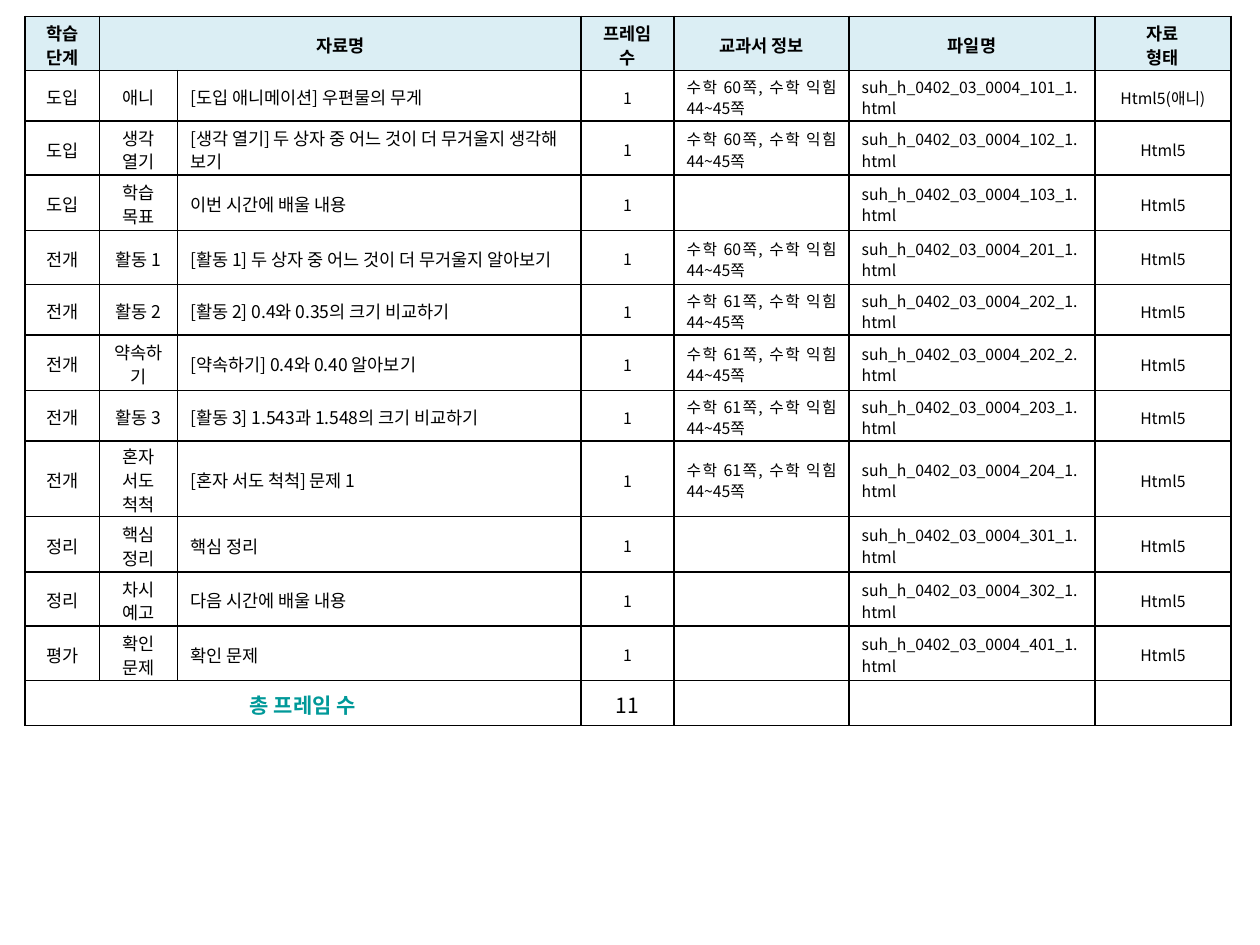
from lxml import etree
from pptx import Presentation
from pptx.dml.color import RGBColor
from pptx.enum import text
from pptx.oxml.ns import qn
from pptx.util import Inches, Pt

# Content
HEADERS = ["학습 단계", "자료명", "", "프레임 수", "교과서 정보", "파일명", "자료\n형태"]
PAGES_60 = "수학 60쪽, 수학 익힘 44~45쪽"
PAGES_61 = "수학 61쪽, 수학 익힘 44~45쪽"
# stage, label, material, textbook pages, file number
LESSONS = [
    ("도입", "애니", "[도입 애니메이션] 우편물의 무게", PAGES_60, "101_1"),
    ("도입", "생각 열기", "[생각 열기] 두 상자 중 어느 것이 더 무거울지 생각해 보기", PAGES_60, "102_1"),
    ("도입", "학습 목표", "이번 시간에 배울 내용", "", "103_1"),
    ("전개", "활동 1", "[활동 1] 두 상자 중 어느 것이 더 무거울지 알아보기", PAGES_60, "201_1"),
    ("전개", "활동 2", "[활동 2] 0.4와 0.35의 크기 비교하기", PAGES_61, "202_1"),
    ("전개", "약속하기", "[약속하기] 0.4와 0.40 알아보기", PAGES_61, "202_2"),
    ("전개", "활동 3", "[활동 3] 1.543과 1.548의 크기 비교하기", PAGES_61, "203_1"),
    ("전개", "혼자 서도 척척", "[혼자 서도 척척] 문제 1", PAGES_61, "204_1"),
    ("정리", "핵심 정리", "핵심 정리", "", "301_1"),
    ("정리", "차시 예고", "다음 시간에 배울 내용", "", "302_1"),
    ("평가", "확인 문제", "확인 문제", "", "401_1"),
]
TOTAL = ["총 프레임 수", "", "", str(len(LESSONS)), "", "", ""]

FONT = "Noto Sans CJK KR"
LEFT, TOP = 0.2, 0.13
COLUMNS = [0.59, 0.62, 3.2, 0.74, 1.39, 1.95, 1.08]
ROWS = [0.43, 0.4, 0.43, 0.44, 0.43, 0.4, 0.44, 0.4, 0.6, 0.44, 0.43, 0.43, 0.36]
CENTER, LEFT_ALIGN, JUSTIFY = text.PP_ALIGN.CENTER, text.PP_ALIGN.LEFT, text.PP_ALIGN.JUSTIFY
BODY_ALIGN = [CENTER, CENTER, LEFT_ALIGN, CENTER, JUSTIFY, JUSTIFY, CENTER]
BODY_SIZE = [10, 10, 10, 9, 9, 9, 9]


def color(value):
    return RGBColor.from_string(value)


def add_borders(cell):
    properties = cell._tc.get_or_add_tcPr()
    for side in ("a:lnL", "a:lnR", "a:lnT", "a:lnB"):
        line = etree.SubElement(properties, qn(side), w=str(Pt(1)))
        fill = etree.SubElement(line, qn("a:solidFill"))
        etree.SubElement(fill, qn("a:srgbClr"), val="000000")


def write_cell(cell, words, size, align, bold=False, ink="000000", fill=None):
    add_borders(cell)
    if fill:
        cell.fill.solid()
        cell.fill.fore_color.rgb = color(fill)
    else:
        cell.fill.background()
    cell.vertical_anchor = text.MSO_ANCHOR.MIDDLE
    cell.margin_left = cell.margin_right = Inches(0.1)
    cell.margin_top, cell.margin_bottom = Inches(0.03), 0
    cell.text_frame.text = words
    for para in cell.text_frame.paragraphs:
        para.alignment = align
        para.line_spacing = 0.94
        font = para.font
        font.size, font.bold, font.name = Pt(size), bold, FONT
        font.color.rgb = color(ink)
        etree.SubElement(font._element, qn("a:ea"), typeface=FONT)
        if not words:
            para._p.get_or_add_endParaRPr().set("sz", str(size * 100))


deck = Presentation()
deck.slide_width, deck.slide_height = Inches(10), Inches(7.5)
page = deck.slides.add_slide(deck.slide_layouts[6])

# Table grid
table = page.shapes.add_table(
    len(ROWS), len(COLUMNS), Inches(LEFT), Inches(TOP),
    Inches(sum(COLUMNS)), Inches(sum(ROWS))).table
table.first_row = table.horz_banding = False
for column, width in zip(table.columns, COLUMNS):
    column.width = Inches(width)
for row, height in zip(table.rows, ROWS):
    row.height = Inches(height)

# Header row
for index, words in enumerate(HEADERS):
    write_cell(table.cell(0, index), words, 10, CENTER, bold=True, fill="DBEEF4")

# Lesson rows
for number, (stage, label, material, pages, file) in enumerate(LESSONS, 1):
    kind = "Html5(애니)" if label == "애니" else "Html5"
    values = [stage, label, material, "1", pages, f"suh_h_0402_03_0004_{file}.html", kind]
    for index, words in enumerate(values):
        write_cell(table.cell(number, index), words, BODY_SIZE[index], BODY_ALIGN[index])

# Total row
last = len(ROWS) - 1
for index, words in enumerate(TOTAL):
    is_label = index == 0
    write_cell(table.cell(last, index), words, 12 if words else 9, CENTER,
               bold=is_label, ink="009999" if is_label else "000000")

# Merged cells
table.cell(0, 1).merge(table.cell(0, 2))
table.cell(last, 0).merge(table.cell(last, 2))

deck.save("out.pptx")
